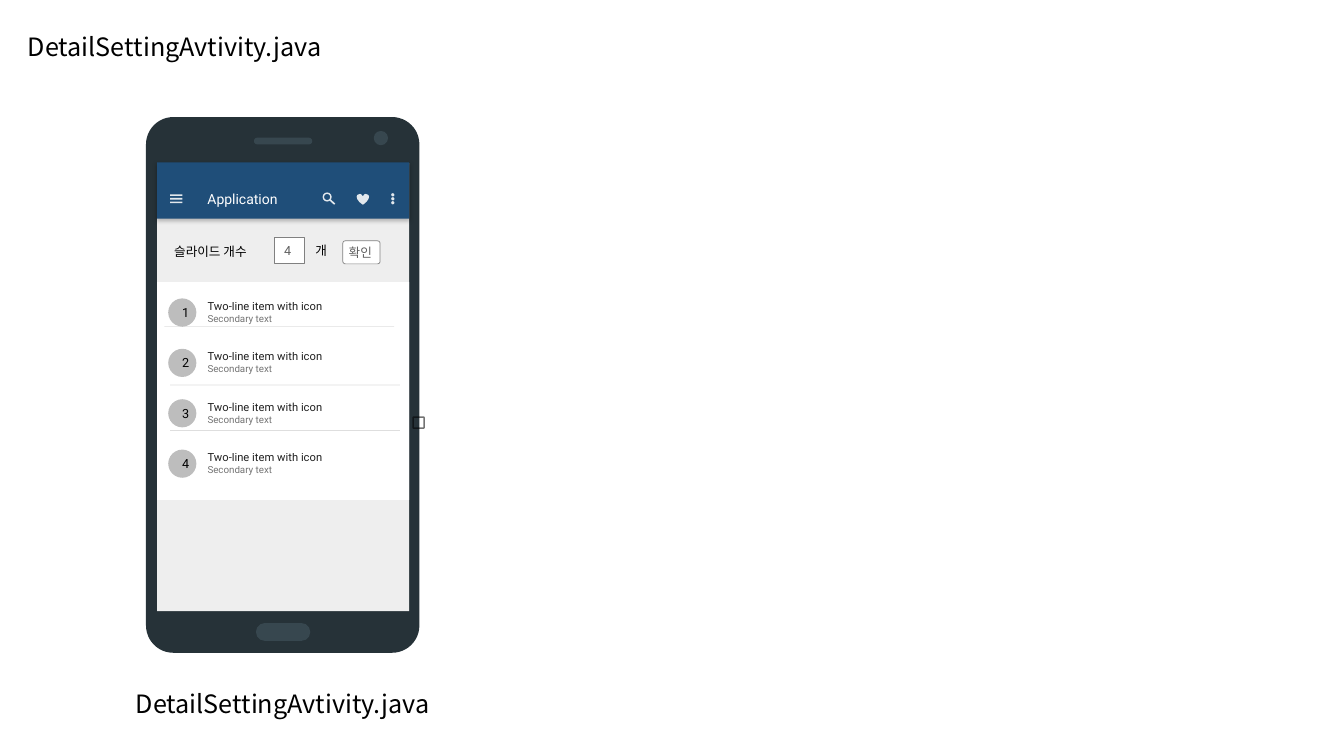
from dataclasses import dataclass, field
from typing import Optional

from lxml.etree import SubElement
from pptx import Presentation
from pptx.dml.color import RGBColor
from pptx.enum.shapes import MSO_CONNECTOR, MSO_SHAPE as SHP
from pptx.enum.text import MSO_ANCHOR as ANC, PP_ALIGN as AL
from pptx.oxml.ns import qn
from pptx.util import Cm, Pt

BLACK = RGBColor(0x00, 0x00, 0x00)
WHITE = RGBColor(0xFF, 0xFF, 0xFF)
CASE = RGBColor(0x26, 0x32, 0x38)
TRIM = RGBColor(0x37, 0x47, 0x4F)
SCREEN = RGBColor(0xEE, 0xEE, 0xEE)
BAR_BLUE = RGBColor(0x1F, 0x4E, 0x79)
BORDER = RGBColor(0x80, 0x80, 0x80)
FIELD_GREY = RGBColor(0x5F, 0x5F, 0x5F)
NOTO, ROBOTO = "Noto Sans CJK KR", "Roboto"
INSETS = (0.25, 0.13, 0.25, 0.13)
FILE_NAME = "DetailSettingAvtivity.java"


@dataclass
class Text:
    text: str
    size: float = 9
    font: str = ROBOTO
    color: RGBColor = BLACK
    align: AL = AL.LEFT
    anchor: ANC = ANC.MIDDLE
    insets: tuple = INSETS
    wrap: bool = True


@dataclass
class Part:
    kind: SHP
    box: tuple
    fill: Optional[RGBColor] = None
    alpha: int = 100
    line: Optional[RGBColor] = None
    line_alpha: int = 100
    width: float = 0.5
    adj: Optional[float] = None
    text: Optional[Text] = None


@dataclass
class Divider:
    x: float
    y: float
    length: float = 5.79


@dataclass
class Label:
    box: tuple
    text: Text = field(default_factory=lambda: Text(""))


def paint(fill, color: RGBColor, alpha: int = 100) -> None:
    fill.solid()
    fill.fore_color.rgb = color
    if alpha < 100:
        clr = next(fill._xPr.iter(qn("a:srgbClr")))
        SubElement(clr, qn("a:alpha"), val=str(alpha * 1000))


def style_run(r, size: float, font: str, color: RGBColor, alpha: int = 100) -> None:
    for name, value in {"size": Pt(size), "name": font}.items():
        setattr(r.font, name, value)
    paint(r.font.fill, color, alpha)
    SubElement(r.font._element if hasattr(r.font, "_element") else r._r.rPr,
               qn("a:ea"), typeface=NOTO)


def set_frame(tf, anchor: ANC, insets: tuple, wrap: bool) -> None:
    left, top, right, bottom = map(Cm, insets)
    values = {"margin_left": left, "margin_top": top, "margin_right": right,
              "margin_bottom": bottom, "vertical_anchor": anchor, "word_wrap": wrap}
    for name, value in values.items():
        setattr(tf, name, value)


def write(tf, t: Text) -> None:
    set_frame(tf, t.anchor, t.insets, t.wrap)
    p = tf.paragraphs[0]
    p.alignment = t.align
    r = p.add_run()
    r.text = t.text
    style_run(r, t.size, t.font, t.color)


def place(sp, box: tuple) -> None:
    for name, value in zip(("left", "top", "width", "height"), box):
        setattr(sp, name, Cm(value))


def finish(sp, part: Part) -> None:
    """Give a drawn shape its fill, outline and text, without a shadow."""
    sp.shadow.inherit = False
    if part.fill is None:
        sp.fill.background()
    else:
        paint(sp.fill, part.fill, part.alpha)
    if part.line is None:
        sp.line.fill.background()
    else:
        paint(sp.line.fill, part.line, part.line_alpha)
        sp.line.width = Pt(part.width)
    if part.text:
        write(sp.text_frame, part.text)


def draw_part(s, part: Part):
    sp = s.shapes.add_shape(part.kind, *map(Cm, part.box))
    if part.adj is not None:
        sp.adjustments[0] = part.adj
    finish(sp, part)
    return sp


def draw_label(s, label: Label) -> None:
    write(s.shapes.add_textbox(*map(Cm, label.box)).text_frame, label.text)


def draw_divider(s, d: Divider) -> None:
    ln = s.shapes.add_connector(MSO_CONNECTOR.STRAIGHT, Cm(d.x), Cm(d.y),
                                Cm(d.x + d.length), Cm(d.y))
    paint(ln.line.fill, BLACK, 12)
    ln.line.width = Pt(0.5)
    SubElement(ln._element.spPr, qn("a:effectLst"))


def drop_shadow(sp) -> None:
    effects = sp._element.spPr.find(qn("a:effectLst"))
    shadow = SubElement(effects, qn("a:outerShdw"), blurRad=str(Pt(3)), dist=str(Pt(1)),
                        dir="5400000", algn="t", rotWithShape="0")
    clr = SubElement(shadow, qn("a:srgbClr"), val=str(BLACK))
    SubElement(clr, qn("a:alpha"), val="25000")


def draw_list(s, body, count: int) -> None:
    """Fill the body placeholder with two-line items and lift it to the front."""
    s.shapes._spTree.append(body._element)
    place(body, (3.96, 7.11, 6.35, 5.49))
    paint(body.fill, WHITE)
    tf = body.text_frame
    set_frame(tf, ANC.TOP, (1.27, 0.43, 0.25, 0.51), True)
    for i in range(count):
        p = tf.add_paragraph() if i else tf.paragraphs[0]
        for name, value in {"space_before": Pt(9), "space_after": Pt(9),
                            "line_spacing": 1.0, "alignment": AL.LEFT}.items():
            setattr(p, name, value)
        pPr = p._p.get_or_add_pPr()
        pPr.set("marL", "0")
        pPr.set("indent", "0")
        SubElement(pPr, qn("a:buNone"))
        r = p.add_run()
        r.text = "Two-line item with icon"
        style_run(r, 8, ROBOTO, BLACK, 87)
        p.add_line_break()
        r = p.add_run()
        r.text = "Secondary text"
        style_run(r, 7, ROBOTO, BLACK, 54)


def draw_bar_icons(s) -> None:
    icon = {"fill": WHITE, "alpha": 87}
    for i in range(3):
        draw_part(s, Part(SHP.RECTANGLE, (4.29, 4.9 + 0.09 * i, 0.31, 0.04), **icon))
        draw_part(s, Part(SHP.OVAL, (9.86, 4.87 + 0.1 * i, 0.08, 0.08), **icon))
    draw_part(s, Part(SHP.HEART, (8.99, 4.88, 0.31, 0.28), **icon))
    lens = Part(SHP.DONUT, (8.13, 4.85, 0.23, 0.23), adj=0.16, **icon)
    draw_part(s, lens)
    fb = s.shapes.build_freeform(Cm(8.31), Cm(5.06), 1.0)
    fb.add_line_segments([(Cm(x), Cm(y)) for x, y in
                          ((8.34, 5.03), (8.45, 5.13), (8.42, 5.16))])
    finish(fb.convert_to_shape(), lens)


def main() -> None:
    prs = Presentation()
    prs.slide_width, prs.slide_height = Cm(33.87), Cm(19.05)
    s = prs.slides.add_slide(prs.slide_layouts[1])
    title, body = s.placeholders
    heading = Text(FILE_NAME, 18, NOTO, align=AL.CENTER, wrap=False)
    place(title, (0.38, 0.66, 8.05, 1.02))
    write(title.text_frame, heading)

    for part in (Part(SHP.ROUNDED_RECTANGLE, (3.68, 2.95, 6.89, 13.5), CASE, adj=0.1),
                 Part(SHP.ROUNDED_RECTANGLE, (6.45, 15.7, 1.37, 0.45), TRIM, adj=0.5),
                 Part(SHP.OVAL, (9.42, 3.3, 0.36, 0.36), TRIM),
                 Part(SHP.ROUNDED_RECTANGLE, (6.4, 3.47, 1.47, 0.17), TRIM, adj=0.5),
                 Part(SHP.RECTANGLE, (3.96, 4.11, 6.35, 11.29), SCREEN)):
        draw_part(s, part)
    app_name = Text("Application", 10, color=WHITE, anchor=ANC.BOTTOM,
                    insets=(1.27, 0.56, 0.25, 0.28))
    drop_shadow(draw_part(s, Part(SHP.RECTANGLE, (3.96, 4.09, 6.35, 1.42), BAR_BLUE,
                                  text=app_name)))
    draw_bar_icons(s)

    count = Text("4", color=FIELD_GREY, insets=(0.25, 0.15, 0.25, 0.15))
    confirm = Text("확인", color=FIELD_GREY, insets=(0.13, 0.08, 0.13, 0.08), wrap=False)
    for part in (Part(SHP.RECTANGLE, (6.91, 5.97, 0.76, 0.66), WHITE, line=BORDER, text=count),
                 Part(SHP.ROUNDED_RECTANGLE, (8.64, 6.07, 0.94, 0.58), WHITE, line=BORDER,
                      adj=0.11, text=confirm),
                 Part(SHP.ROUNDED_RECTANGLE, (10.41, 10.51, 0.28, 0.28), line=BLACK,
                      line_alpha=54, width=1.1, adj=0.08)):
        draw_part(s, part)
    for label in (Label((3.1, 17.22, 8.05, 1.02), heading),
                  Label((4.14, 6.02, 3.15, 0.63), Text("슬라이드 개수", font=NOTO)),
                  Label((7.7, 5.99, 1.17, 0.63), Text("개", font=NOTO))):
        draw_label(s, label)

    draw_list(s, body, 4)
    for i in range(4):
        number = Text(str(i + 1), align=AL.CENTER)
        draw_part(s, Part(SHP.OVAL, (4.24, 7.52 + 1.27 * i, 0.71, 0.71), BLACK, 26, text=number))
    for divider in (Divider(4.29, 9.7), Divider(4.29, 10.85), Divider(4.14, 8.23)):
        draw_divider(s, divider)
    prs.save("out.pptx")


if __name__ == "__main__":
    main()
